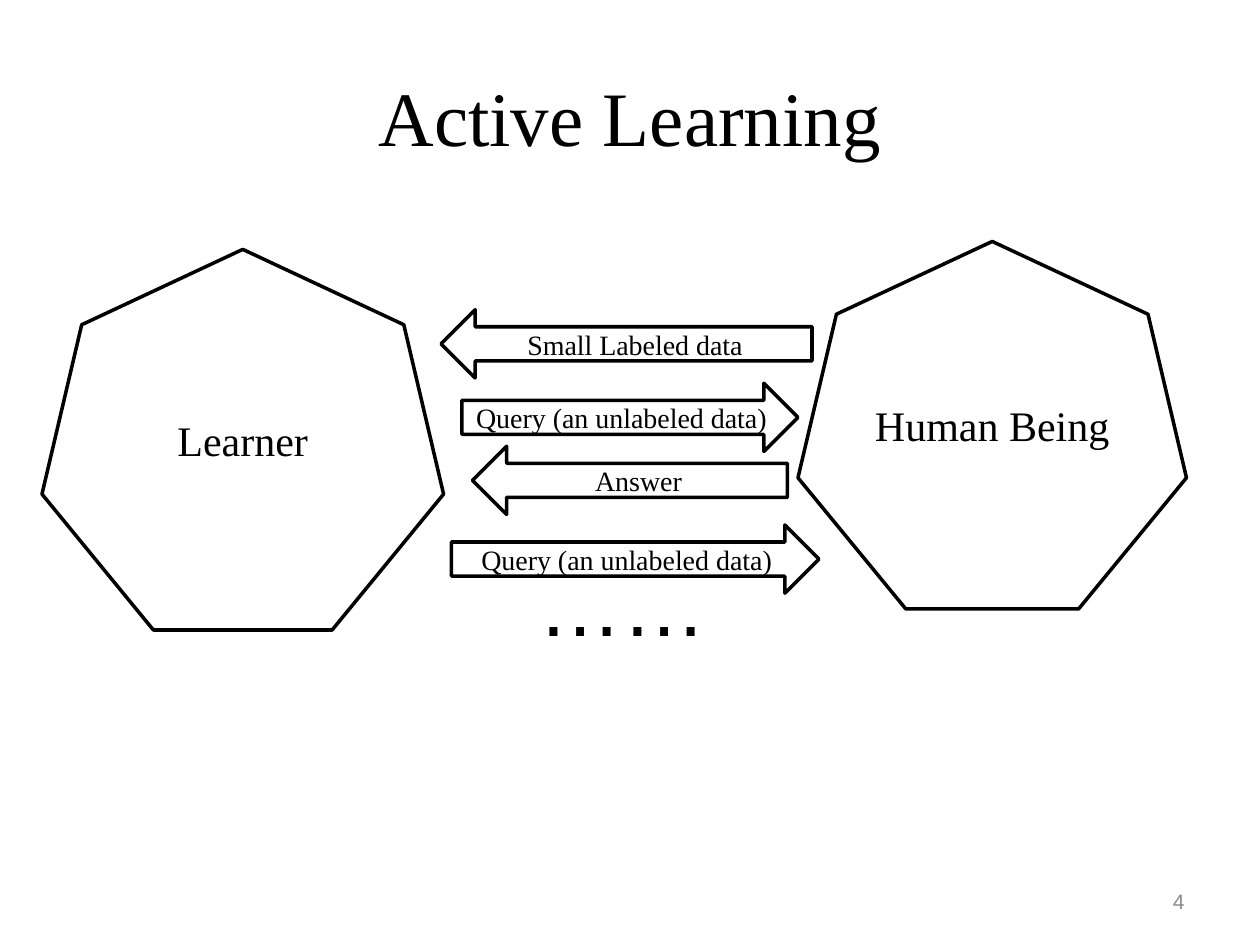
from typing import NamedTuple

from pptx import Presentation
from pptx.dml.color import RGBColor
from pptx.enum import shapes, text
from pptx.util import Pt

COLORS = {"ink": "000000", "paper": "FFFFFF", "number": "8C8C8C"}
SERIF, SANS = "Times New Roman", "Arial"
ARROW_HEIGHT = 39
LEFT, RIGHT = shapes.MSO_SHAPE.LEFT_ARROW, shapes.MSO_SHAPE.RIGHT_ARROW
CENTER, MIDDLE = text.PP_ALIGN.CENTER, text.MSO_ANCHOR.MIDDLE


class Box(NamedTuple):
    left: float
    top: float
    width: float
    height: float


class Party(NamedTuple):
    name: str
    box: Box


class Message(NamedTuple):
    wording: str
    direction: shapes.MSO_SHAPE
    left: float
    top: float
    width: float


class Label(NamedTuple):
    wording: str
    box: Box
    size: float
    font: str = SERIF
    color: str = "ink"
    align: text.PP_ALIGN = CENTER
    anchor: text.MSO_ANCHOR = MIDDLE


PARTIES = [
    Party("Human Being", Box(456, 138, 222, 210)),
    Party("Learner", Box(24, 142.5, 229.5, 217.5)),
]
MESSAGES = [
    Message("Small Labeled data", LEFT, 252, 177, 212),
    Message("Query (an unlabeled data)", RIGHT, 264, 219, 192),
    Message("Answer", LEFT, 270, 255, 180),
    Message("Query (an unlabeled data)", RIGHT, 258, 300, 210),
]
LABELS = [
    Label("Active Learning", Box(54, 30, 612, 72), 44),
    Label("4", Box(516, 500.5, 168, 29), 12, SANS, "number", text.PP_ALIGN.RIGHT),
    Label("……", Box(222, 312, 268, 65.5), 48, SANS, anchor=text.MSO_ANCHOR.TOP),
]


def color(name: str) -> RGBColor:
    return RGBColor.from_string(COLORS[name])


def write(shape, label: Label) -> None:
    frame = shape.text_frame
    frame.word_wrap = True
    frame.vertical_anchor = label.anchor
    paragraph = frame.paragraphs[0]
    paragraph.text = label.wording
    paragraph.alignment = label.align
    paragraph.font.name = label.font
    paragraph.font.size = Pt(label.size)
    paragraph.font.color.rgb = color(label.color)


def draw_label(slide, label: Label) -> None:
    write(slide.shapes.add_textbox(*map(Pt, label.box)), label)


def draw_outlined(slide, kind: shapes.MSO_SHAPE, label: Label):
    shape = slide.shapes.add_shape(kind, *map(Pt, label.box))
    shape.shadow.inherit = False
    shape.fill.solid()
    shape.fill.fore_color.rgb = color("paper")
    shape.line.color.rgb = color("ink")
    shape.line.width = Pt(2)
    write(shape, label)
    return shape


def draw_party(slide, party: Party) -> None:
    draw_outlined(slide, shapes.MSO_SHAPE.HEPTAGON, Label(party.name, party.box, 24))


def draw_message(slide, message: Message) -> None:
    box = Box(message.left, message.top, message.width, ARROW_HEIGHT)
    arrow = draw_outlined(slide, message.direction, Label(message.wording, box, 16))
    # Narrow side margins keep the longest wording on one line
    arrow.text_frame.margin_left = arrow.text_frame.margin_right = Pt(4)


def main() -> None:
    deck = Presentation()
    deck.slide_width, deck.slide_height = Pt(720), Pt(540)
    slide = deck.slides.add_slide(deck.slide_layouts[6])

    # The two parties
    for party in PARTIES:
        draw_party(slide, party)

    # Messages passed between them
    for message in MESSAGES:
        draw_message(slide, message)

    # Title, page number and continuation dots
    for label in LABELS:
        draw_label(slide, label)

    deck.save("out.pptx")


if __name__ == "__main__":
    main()
